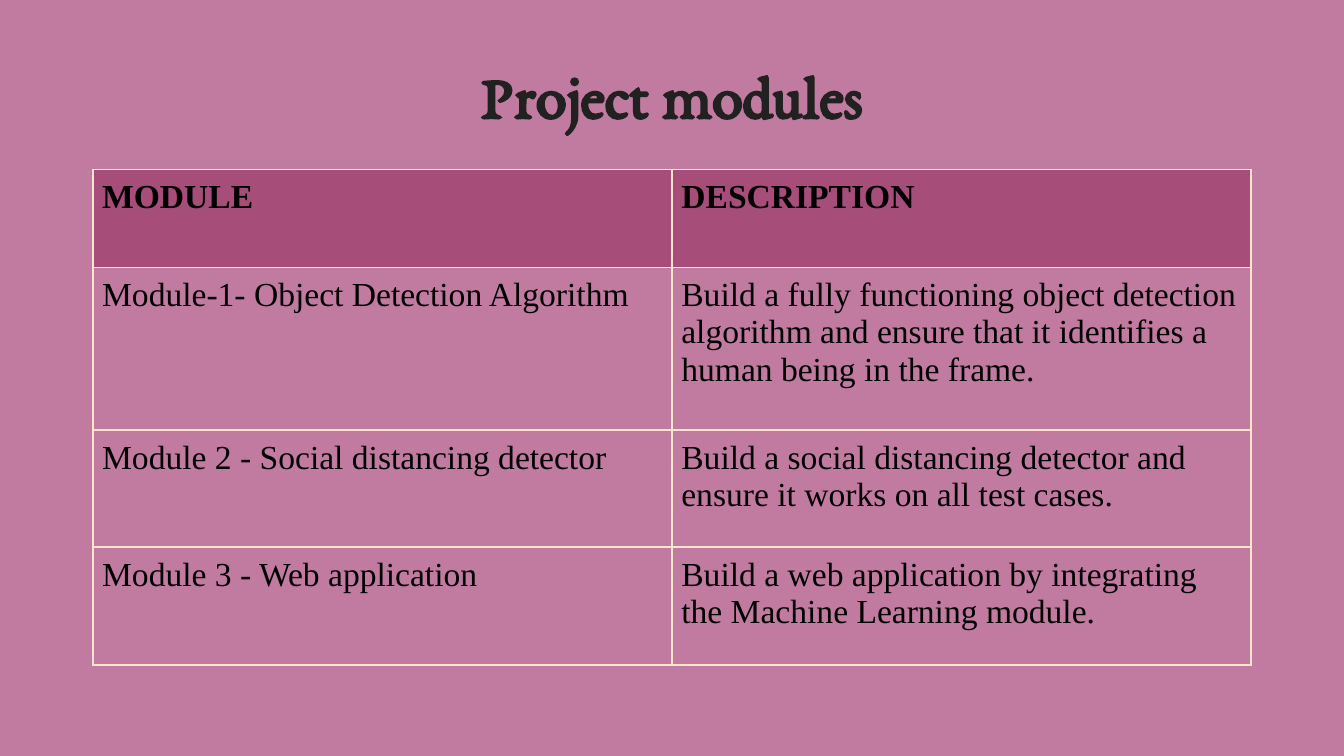
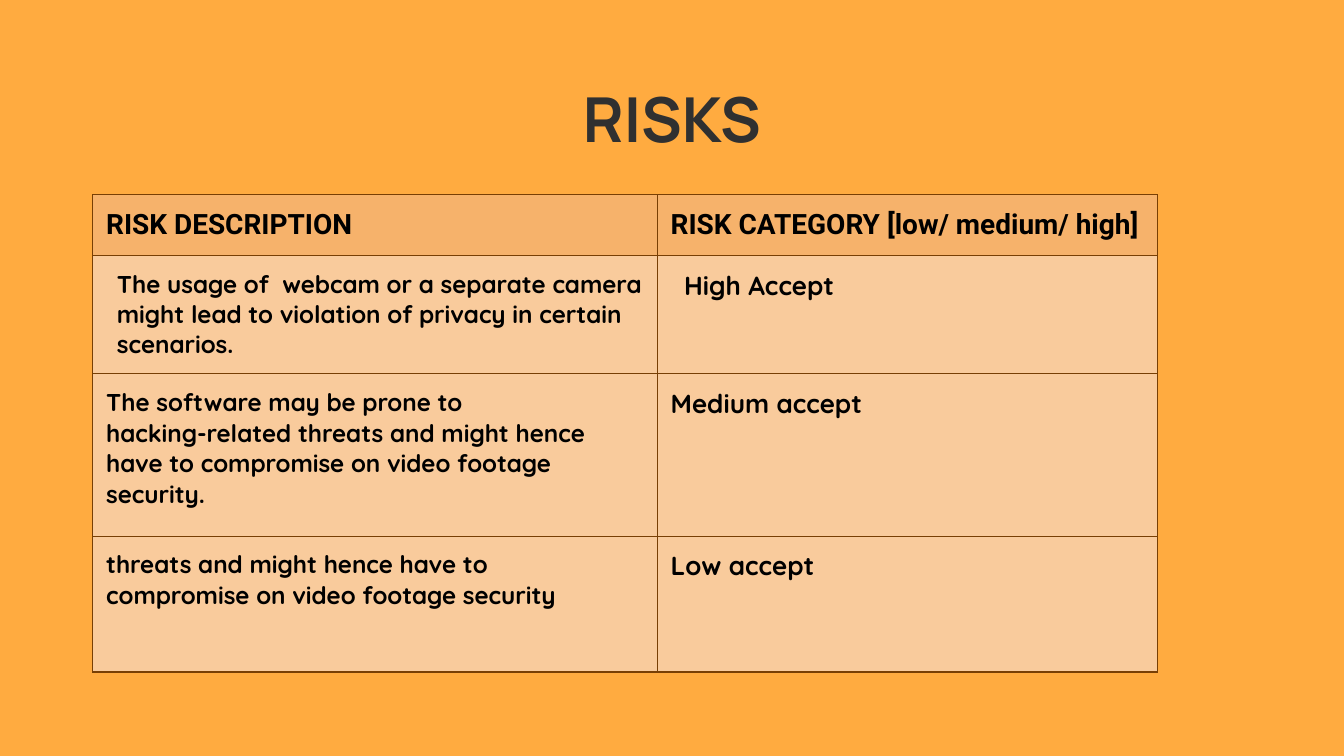
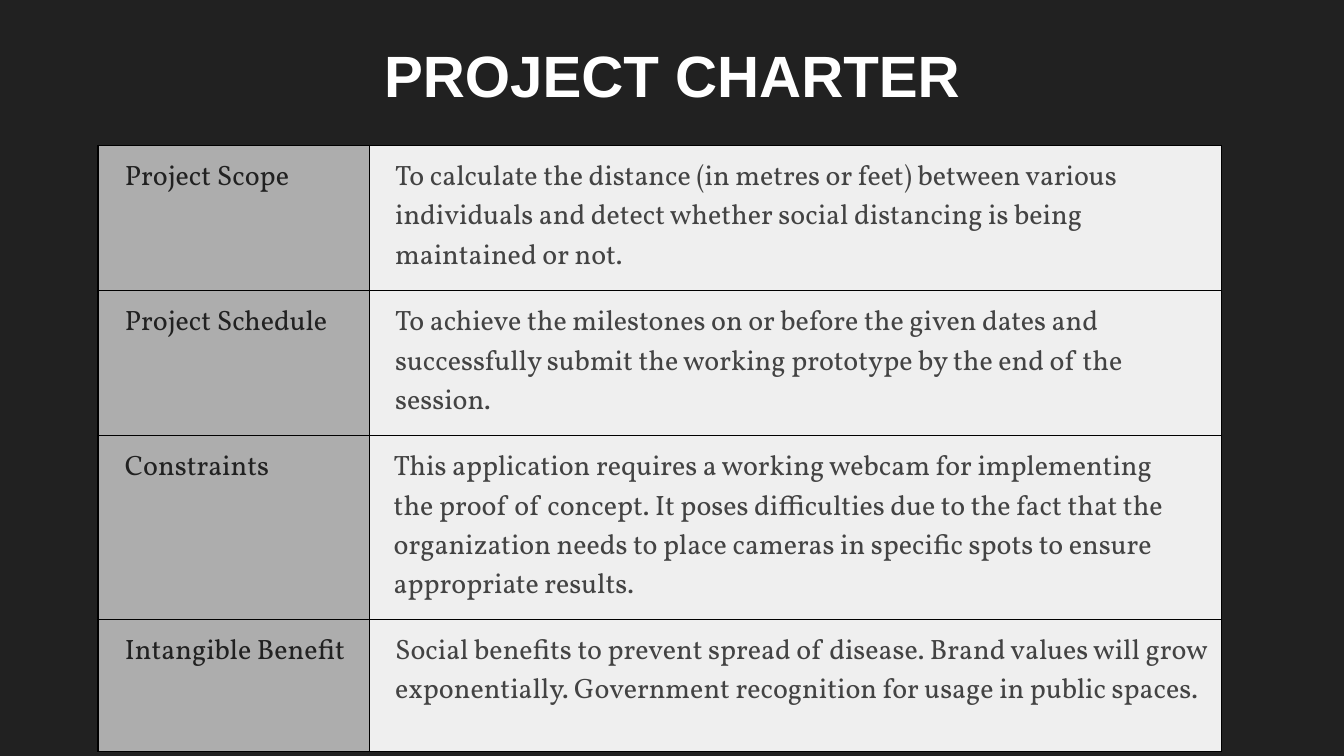
from dataclasses import dataclass

import pptx
import pptx.dml.color
import pptx.enum.text
import pptx.oxml.ns
import pptx.util
from lxml import etree

Inches = pptx.util.Inches
Pt = pptx.util.Pt


# Theme: colours and type sizes
class Theme:
    pink, plum, cream = "C27BA0", "A64D79", "FCE5CD"
    orange, apricot, peach, brown = "FFAB40", "F6B26B", "F9CB9C", "783F04"
    black, ink, soft_ink, charcoal = "000000", "212121", "303030", "434343"
    white, mist, silver = "FFFFFF", "EFEFEF", "ADADAD"
    title_size, charter_title_size = 33.2, 31.2
    module_size, label_size = 18, 15
    risk_size, category_size = 13, 14
    loose_spacing = 1.01


@dataclass
class CellStyle:
    font: str
    size: float
    color: str
    fill: str = ""
    bold: bool = False
    indent: float = 0
    spacing: float = 1


@dataclass
class Entry:
    """Cell text that departs from the indents or spacing of its column."""
    text: str
    indent: float = 0
    spacing: float = 1
    right_indent: float = 0


@dataclass
class TableLook:
    border: str
    border_width: float
    margin: float


def rgb(value):
    return pptx.dml.color.RGBColor.from_string(value)


def set_font(paragraph, name, size, color, bold):
    for run in paragraph.runs:
        run.font.name = name
        run.font.size = Pt(size)
        run.font.bold = bold
        run.font.color.rgb = rgb(color)


# Slide with its background and centred title
def add_titled_slide(presentation, background, title, top, font, size, color):
    slide = presentation.slides.add_slide(presentation.slide_layouts[6])
    slide.background.fill.solid()
    slide.background.fill.fore_color.rgb = rgb(background)
    box = slide.shapes.add_textbox(Inches(0.34), Inches(top), Inches(9.32), Inches(0.63))
    text_frame = box.text_frame
    text_frame.word_wrap = True
    text_frame.margin_left = text_frame.margin_right = Inches(0.1)
    text_frame.margin_top = text_frame.margin_bottom = Inches(0.1)
    text_frame.text = title
    paragraph = text_frame.paragraphs[0]
    paragraph.alignment = pptx.enum.text.PP_ALIGN.CENTER
    set_font(paragraph, font, size, color, True)
    return slide


# Table parts
def add_borders(cell, look):
    properties = cell._tc.get_or_add_tcPr()
    qn = pptx.oxml.ns.qn
    for side in ("a:lnL", "a:lnR", "a:lnT", "a:lnB"):
        line = etree.SubElement(properties, qn(side), w=str(Pt(look.border_width)))
        fill = etree.SubElement(line, qn("a:solidFill"))
        etree.SubElement(fill, qn("a:srgbClr"), val=look.border)


def set_indents(paragraph, entry):
    properties = paragraph._p.get_or_add_pPr()
    for name, length in (("marL", entry.indent), ("marR", entry.right_indent)):
        if length:
            properties.set(name, str(Inches(length)))


def fill_cell(cell, content, style, look):
    entry = content
    if isinstance(content, str):
        entry = Entry(content, style.indent, style.spacing)
    add_borders(cell, look)
    if style.fill:
        cell.fill.solid()
        cell.fill.fore_color.rgb = rgb(style.fill)
    else:
        cell.fill.background()
    cell.margin_left = cell.margin_right = Inches(look.margin)
    cell.margin_top = cell.margin_bottom = Inches(look.margin)
    cell.text_frame.text = entry.text
    for paragraph in cell.text_frame.paragraphs:
        set_indents(paragraph, entry)
        if entry.spacing != 1:
            paragraph.line_spacing = entry.spacing
        set_font(paragraph, style.font, style.size, style.color, style.bold)


def add_table(slide, left, top, widths, heights, rows, columns, look, header=None):
    frame = slide.shapes.add_table(
        len(rows), len(widths), Inches(left), Inches(top),
        Inches(sum(widths)), Inches(sum(heights)))
    table = frame.table
    table.first_row = header is not None
    table.horz_banding = False
    for column, width in zip(table.columns, widths):
        column.width = Inches(width)
    for row, height in zip(table.rows, heights):
        row.height = Inches(height)
    for row_index, contents in enumerate(rows):
        for column_index, content in enumerate(contents):
            is_header = header and row_index == 0
            style = header if is_header else columns[column_index]
            fill_cell(table.cell(row_index, column_index), content, style, look)


# Slides
def add_modules(presentation):
    slide = add_titled_slide(presentation, Theme.pink, "Project modules", 0.32,
                             "EB Garamond", Theme.title_size, Theme.ink)
    header = CellStyle("Times New Roman", Theme.module_size, Theme.black, Theme.plum, bold=True)
    body = CellStyle("Times New Roman", Theme.module_size, Theme.black)
    rows = [
        ("MODULE", "DESCRIPTION"),
        ("Module-1- Object Detection Algorithm",
         "Build a fully functioning object detection algorithm and ensure that "
         "it identifies a human being in the frame."),
        ("Module 2 - Social distancing detector",
         "Build a social distancing detector and ensure it works on all test cases."),
        ("Module 3 - Web application",
         "Build a web application by integrating the Machine Learning module."),
    ]
    add_table(slide, 0.69, 1.26, [4.31, 4.31], [0.73, 1.21, 0.87, 0.88], rows,
              [body, body], TableLook(Theme.cream, 1, 0.07), header)


def add_risks(presentation):
    slide = add_titled_slide(presentation, Theme.orange, "RISKS", 0.5,
                             "Manrope", Theme.title_size, Theme.soft_ink)
    header = CellStyle("Roboto", Theme.label_size, Theme.black, Theme.apricot, bold=True)
    columns = [CellStyle("Quicksand", size, Theme.black, Theme.peach, bold=True)
               for size in (Theme.risk_size, Theme.category_size)]
    rows = [
        ("RISK DESCRIPTION", "RISK CATEGORY [low/ medium/ high]"),
        (Entry("The usage of  webcam or a separate camera might lead to violation "
               "of privacy in certain scenarios.", indent=0.08),
         Entry("High Accept", indent=0.1)),
        (Entry("The software may be prone to\n"
               "hacking-related threats and might hence\n"
               "have to compromise on video footage\n"
               "security.", spacing=Theme.loose_spacing),
         "Medium accept"),
        (Entry("threats and might hence have to compromise on video footage security",
               right_indent=0.2),
         "Low accept"),
    ]
    add_table(slide, 0.69, 1.45, [4.2, 3.72], [0.44, 0.88, 1.21, 1.01], rows,
              columns, TableLook(Theme.brown, 0.75, 0.1), header)


def add_charter(presentation):
    slide = add_titled_slide(presentation, Theme.ink, "PROJECT CHARTER", 0.19,
                             "Arial", Theme.charter_title_size, Theme.white)
    label = CellStyle("Vollkorn", Theme.label_size, Theme.ink, Theme.silver, indent=0.1)
    detail = CellStyle("Vollkorn", Theme.label_size, Theme.charcoal, Theme.mist,
                       indent=0.09, spacing=Theme.loose_spacing)
    rows = [
        ("Project Scope",
         "To calculate the distance (in metres or feet) between various individuals "
         "and detect whether social distancing is being maintained or not."),
        ("Project Schedule",
         "To achieve the milestones on or before the given dates and successfully "
         "submit the working prototype by the end of the session."),
        ("Constraints",
         Entry("This application requires a working webcam for implementing the proof of "
               "concept. It poses difficulties due to the fact that the organization needs "
               "to place cameras in specific spots to ensure appropriate results.",
               indent=0.08, spacing=Theme.loose_spacing, right_indent=0.2)),
        ("Intangible Benefit",
         Entry("Social benefits to prevent spread of disease. Brand values will grow "
               "exponentially. Government recognition for usage in public spaces.",
               indent=0.09)),
    ]
    add_table(slide, 0.73, 1.08, [2.02, 6.34], [1.08, 1.08, 1.37, 0.98], rows,
              [label, detail], TableLook(Theme.black, 0.75, 0.1))


def main():
    presentation = pptx.Presentation()
    presentation.slide_width = Inches(10)
    presentation.slide_height = Inches(10 * 9 / 16)
    add_modules(presentation)
    add_risks(presentation)
    add_charter(presentation)
    presentation.save("out.pptx")


if __name__ == "__main__":
    main()
